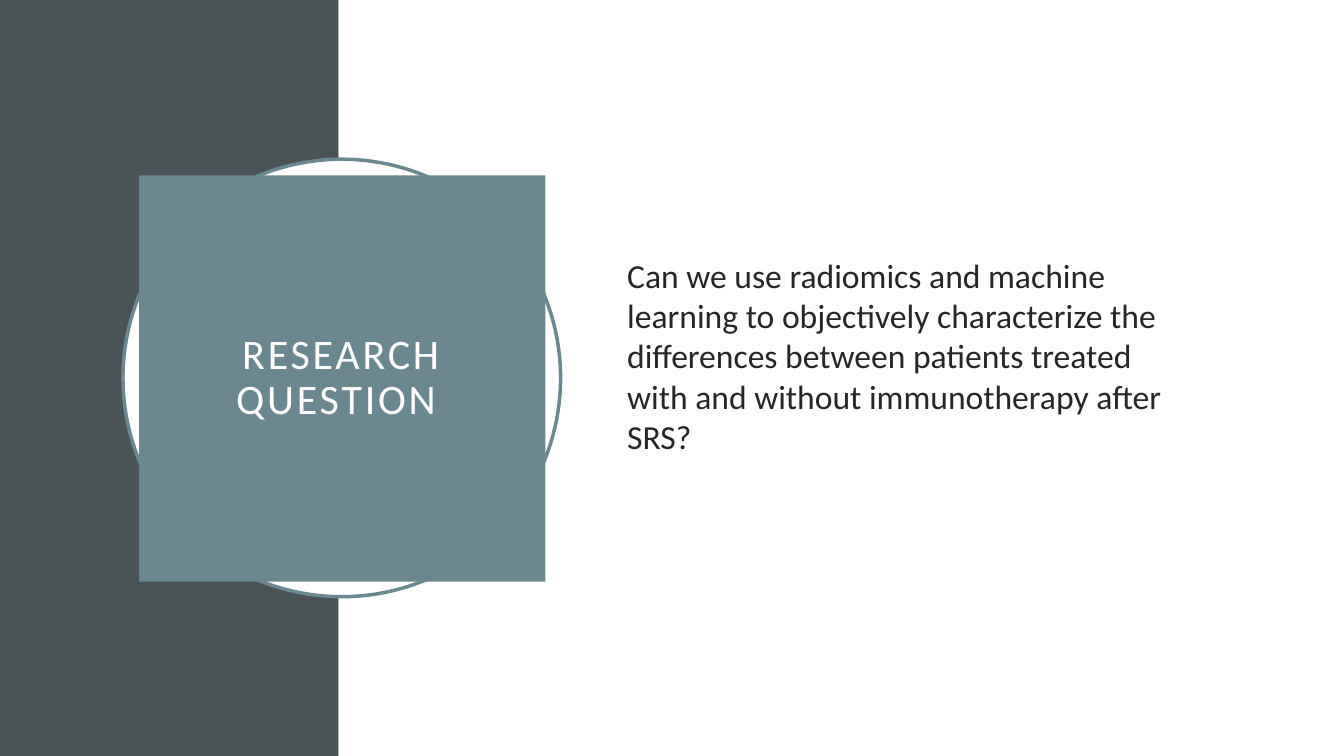
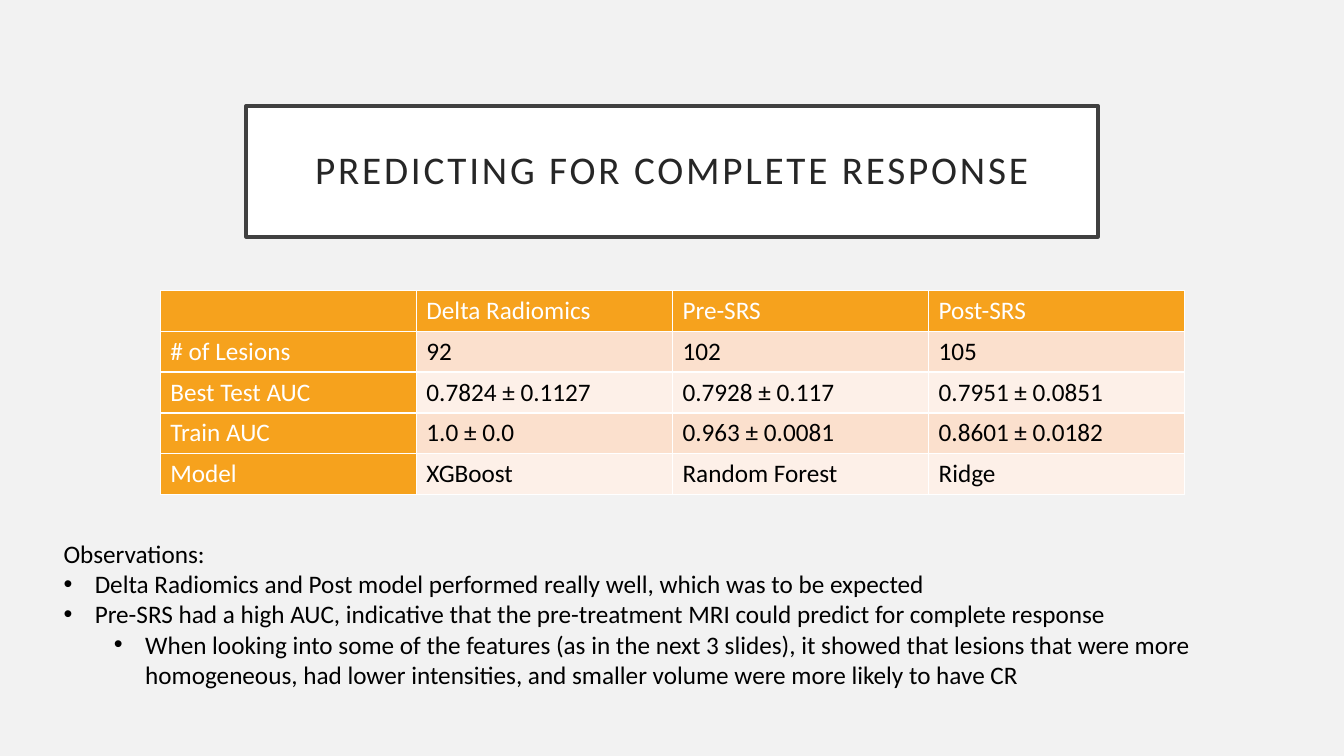
from dataclasses import dataclass

from lxml import etree
from pptx import Presentation
from pptx.dml import color
from pptx.enum import shapes, text
from pptx.oxml import ns
from pptx.util import Inches, Pt


# Theme shared by both slides
@dataclass(frozen=True)
class Theme:
    font: str = "Calibri"
    white: str = "FFFFFF"
    paper: str = "F2F2F2"
    slate: str = "4A5356"
    teal: str = "6B8891"
    ink: str = "262626"
    frame: str = "404040"
    black: str = "000000"
    orange: str = "F6A21D"
    bands: tuple[str, str] = ("FBE0CD", "FDF0E8")
    question_title: float = 30
    results_title: float = 28
    question_body: float = 24
    small: float = 18
    outline: float = 2.5
    tracking: float = 2


THEME = Theme()


@dataclass(frozen=True)
class Box:
    left: float
    top: float
    width: float
    height: float

    def lengths(self) -> tuple:
        return tuple(map(Inches, (self.left, self.top, self.width, self.height)))


@dataclass(frozen=True)
class Panel:
    kind: shapes.MSO_SHAPE
    box: Box
    fill: str
    line: str | None = None


@dataclass(frozen=True)
class Item:
    words: str
    bullet: bool = False
    level: int = 0


# Content
PANELS = (
    Panel(shapes.MSO_SHAPE.RECTANGLE, Box(0, 0, 3.36, 7.5), THEME.slate),
    Panel(shapes.MSO_SHAPE.RECTANGLE, Box(3.36, 0, 9.97, 7.5), THEME.white),
    Panel(shapes.MSO_SHAPE.OVAL, Box(1.22, 1.58, 4.34, 4.34), THEME.white, THEME.teal),
)
QUESTION = (
    Item("Can we use radiomics and machine learning to objectively characterize the "
         "differences between patients treated with and without immunotherapy after SRS?"),
)
RESULTS = (
    ("", "Delta Radiomics", "Pre-SRS", "Post-SRS"),
    ("# of Lesions", "92", "102", "105"),
    ("Best Test AUC", "0.7824 ± 0.1127", "0.7928 ± 0.117", "0.7951 ± 0.0851"),
    ("Train AUC", "1.0 ± 0.0", "0.963 ± 0.0081", "0.8601 ± 0.0182"),
    ("Model", "XGBoost", "Random Forest", "Ridge"),
)
OBSERVATIONS = (
    Item("Observations:"),
    Item("Delta Radiomics and Post model performed really well, which was to be expected", True),
    Item("Pre-SRS had a high AUC, indicative that the pre-treatment MRI could predict "
         "for complete response", True),
    Item("When looking into some of the features (as in the next 3 slides), it showed that "
         "lesions that were more homogeneous, had lower intensities, and smaller volume "
         "were more likely to have CR", True, 1),
)


# Helpers
def rgb(value: str) -> color.RGBColor:
    return color.RGBColor.from_string(value)


def paint(shape, fill: str, line: str | None = None) -> None:
    shape.fill.solid()
    shape.fill.fore_color.rgb = rgb(fill)
    if line:
        shape.line.color.rgb = rgb(line)
        shape.line.width = Pt(THEME.outline)
    else:
        shape.line.fill.background()


def place(shape, box: Box) -> None:
    shape.left, shape.top, shape.width, shape.height = box.lengths()


def add_span(para, words: str, size: float, ink: str):
    span = para.add_run()
    span.text = words
    span.font.name = THEME.font
    span.font.size = Pt(size)
    span.font.bold = False
    span.font.color.rgb = rgb(ink)
    return span


def add_page(deck, background: str):
    page = deck.slides.add_slide(deck.slide_layouts[1])
    page.background.fill.solid()
    page.background.fill.fore_color.rgb = rgb(background)
    return page


def set_title(page, words: str, box: Box, size: float, ink: str,
              fill: str, line: str | None = None) -> None:
    title = page.shapes.title
    place(title, box)
    paint(title, fill, line)
    frame = title.text_frame
    frame.auto_size = text.MSO_AUTO_SIZE.NONE
    frame.word_wrap = True
    frame.vertical_anchor = text.MSO_ANCHOR.MIDDLE
    frame.margin_left = frame.margin_right = Inches(0.2)
    frame.margin_top = frame.margin_bottom = Inches(0.2)
    para = frame.paragraphs[0]
    para.alignment = text.PP_ALIGN.CENTER
    para.line_spacing = 0.9
    span = add_span(para, words, size, ink)
    span._r.get_or_add_rPr().set("spc", str(round(THEME.tracking * 100)))


def set_bullet(para, item: Item) -> None:
    props = para._p.get_or_add_pPr()
    hang = 0.31 if item.bullet else 0
    props.set("marL", str(Inches(hang + item.level * 0.5)))
    props.set("indent", str(Inches(-hang)))
    if item.bullet:
        etree.SubElement(props, ns.qn("a:buFont"), typeface="Arial")
        etree.SubElement(props, ns.qn("a:buChar"), char="•")
    else:
        etree.SubElement(props, ns.qn("a:buNone"))


def set_body(page, items: tuple[Item, ...], box: Box, size: float, ink: str,
             anchor: text.MSO_ANCHOR, before: float = 0, bottom: float = 0.05) -> None:
    body = page.placeholders[1]
    place(body, box)
    frame = body.text_frame
    frame.auto_size = text.MSO_AUTO_SIZE.NONE
    frame.word_wrap = True
    frame.vertical_anchor = anchor
    frame.margin_bottom = Inches(bottom)
    for index, item in enumerate(items):
        para = frame.add_paragraph() if index else frame.paragraphs[0]
        para.level = item.level
        para.space_before = Pt(before)
        set_bullet(para, item)
        add_span(para, item.words, size, ink)


def add_panel(page, panel: Panel) -> None:
    shape = page.shapes.add_shape(panel.kind, *panel.box.lengths())
    shape.shadow.inherit = False
    paint(shape, panel.fill, panel.line)
    # Panels lie behind the title
    page.shapes.title.element.addprevious(shape.element)


def set_borders(cell) -> None:
    props = cell._tc.get_or_add_tcPr()
    for index, side in enumerate(("lnL", "lnR", "lnT", "lnB")):
        line = etree.Element(ns.qn(f"a:{side}"), w=str(Pt(1)))
        fill = etree.SubElement(line, ns.qn("a:solidFill"))
        etree.SubElement(fill, ns.qn("a:srgbClr"), val=THEME.white)
        props.insert(index, line)


def add_results(page, rows: tuple[tuple[str, ...], ...], box: Box) -> None:
    table = page.shapes.add_table(len(rows), len(rows[0]), *box.lengths()).table
    table.first_col = True
    for row, values in enumerate(rows):
        for column, value in enumerate(values):
            cell = table.cell(row, column)
            heading = row == 0 or column == 0
            cell.fill.solid()
            cell.fill.fore_color.rgb = rgb(
                THEME.orange if heading else THEME.bands[(row - 1) % 2])
            set_borders(cell)
            para = cell.text_frame.paragraphs[0]
            if value:
                add_span(para, value, THEME.small, THEME.white if heading else THEME.black)
            else:
                para.font.size = Pt(THEME.small)


# Slides
def build_question(deck) -> None:
    page = add_page(deck, THEME.white)
    for panel in PANELS:
        add_panel(page, panel)
    set_title(page, "RESEARCH QUESTION ", Box(1.38, 1.74, 4.03, 4.03),
              THEME.question_title, THEME.white, THEME.teal)
    set_body(page, QUESTION, Box(6.12, 1.53, 5.82, 4.43), THEME.question_body,
             THEME.ink, text.MSO_ANCHOR.MIDDLE, before=10, bottom=0.49)


def build_results(deck) -> None:
    page = add_page(deck, THEME.paper)
    set_title(page, "PREDICTING FOR COMPLETE RESPONSE", Box(2.44, 1.05, 8.45, 1.3),
              THEME.results_title, THEME.ink, THEME.white, THEME.frame)
    add_results(page, RESULTS, Box(1.59, 2.88, 10.16, 2.02))
    set_body(page, OBSERVATIONS, Box(0.53, 5.29, 11.48, 1.62), THEME.small,
             THEME.black, text.MSO_ANCHOR.TOP)


def main() -> None:
    deck = Presentation()
    deck.slide_width, deck.slide_height = Inches(13.33), Inches(7.5)
    build_question(deck)
    build_results(deck)
    deck.save("out.pptx")


if __name__ == "__main__":
    main()
